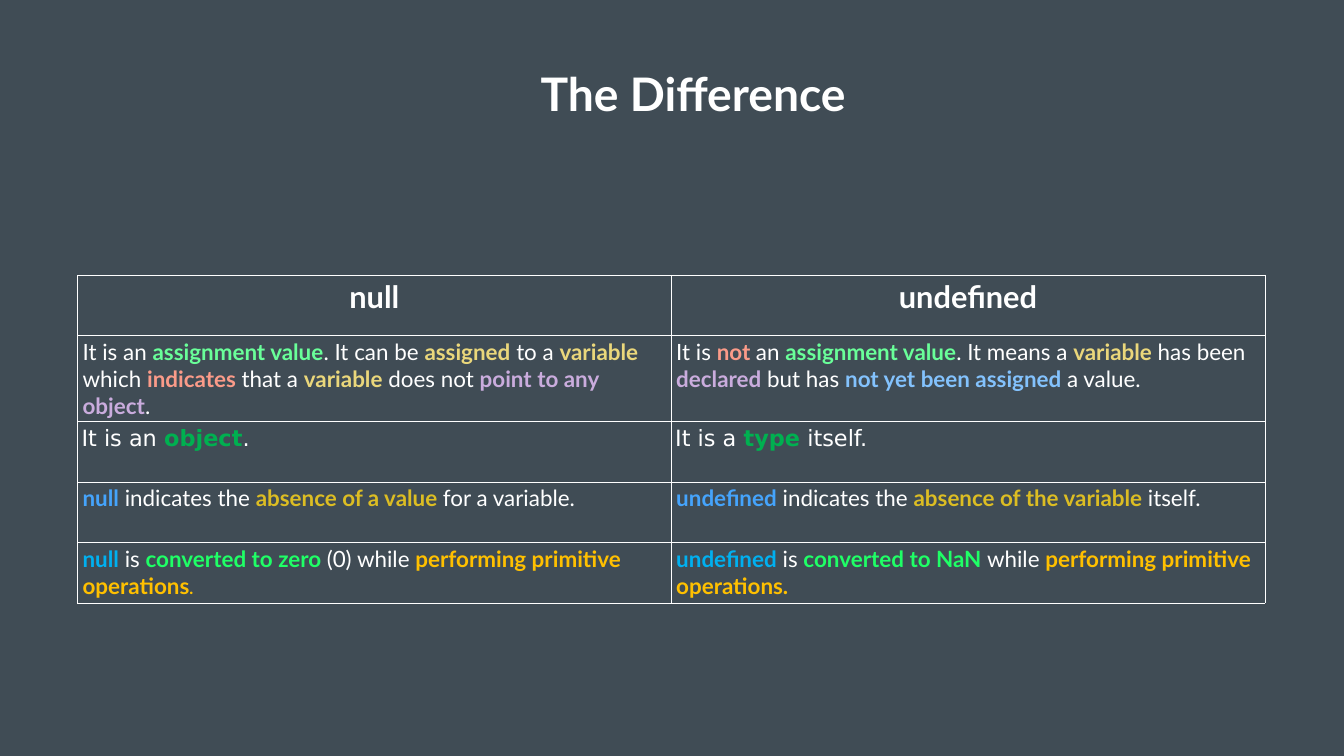
"""Build a slide that compares null and undefined in a two-column table."""

from dataclasses import dataclass

from lxml.etree import SubElement
from pptx import Presentation
from pptx.dml.color import RGBColor
from pptx.enum.text import MSO_ANCHOR as Anchor, MSO_AUTO_SIZE as AutoSize, PP_ALIGN as Align
from pptx.oxml.ns import qn
from pptx.table import _Cell as Cell
from pptx.text.text import _Paragraph as Paragraph
from pptx.util import Cm, Pt

COLORS = {
    "background": "404C55",
    "white": "FFFFFF",
    "mint": "69FF99",
    "sand": "EAD77B",
    "salmon": "FB9B89",
    "lilac": "CAACDD",
    "sky": "83C2FD",
    "green": "00B050",
    "blue": "45A4FC",
    "mustard": "DCBD23",
    "cyan": "00B0F0",
    "lime": "1FFF66",
    "amber": "FFC000",
}
FONT, TYPE_FONT = "Lato", "DejaVu Sans"
LEFT = Cm(3.91)
INSET = Cm(0.2)
COLUMN_WIDTH, ROW_HEIGHT = Cm(29.92), Cm(3.05)


@dataclass(frozen=True)
class Run:
    text: str
    color: str = "white"
    size: int = 32


@dataclass(frozen=True)
class Row:
    null: list[Run]
    undefined: list[Run]
    font: str = FONT
    inset: bool = False


ROWS = [
    Row(
        [Run("It is an "), Run("assignment value", "mint"), Run(". It can be "),
         Run("assigned", "sand"), Run(" to a "), Run("variable", "sand"), Run(" which "),
         Run("indicates", "salmon"), Run(" that a "), Run("variable", "sand"),
         Run(" does not "), Run("point to any object", "lilac"), Run(".")],
        [Run("It is "), Run("not ", "salmon"), Run("an "), Run("assignment value", "mint"),
         Run(". It means a "), Run("variable", "sand"), Run(" has been "),
         Run("declared", "lilac"), Run(" but has "),
         Run("not yet been assigned ", "sky"), Run("a value.")],
    ),
    Row(
        [Run("It is an "), Run("object", "green"), Run(".")],
        [Run("It is a "), Run("type", "green"), Run(" itself.")],
        font=TYPE_FONT,
        inset=True,
    ),
    Row(
        [Run("null", "blue"), Run(" indicates the "),
         Run("absence of a value ", "mustard"), Run("for a variable.")],
        [Run("undefined", "blue"), Run(" indicates the "),
         Run("absence of the variable ", "mustard"), Run("itself.")],
    ),
    Row(
        [Run("null", "cyan"), Run(" is "), Run("converted to zero ", "lime"),
         Run("(0) while "), Run("performing primitive operations", "amber"),
         Run(".", "amber", 24)],
        [Run("undefined", "cyan"), Run(" is "), Run("converted to NaN ", "lime"),
         Run("while "), Run("performing primitive operations.", "amber")],
    ),
]


def add_text(paragraph: Paragraph, text: str, *, size: int, color: str = "white",
             bold: bool = True, font: str = FONT) -> None:
    run = paragraph.add_run()
    run.text = text
    run.font.name = font
    run.font.size = Pt(size)
    run.font.bold = bold
    run.font.color.rgb = RGBColor.from_string(COLORS[color])


def outline_cell(cell: Cell) -> None:
    properties = cell._tc.get_or_add_tcPr()
    for side in ("lnL", "lnR", "lnT", "lnB"):
        line = SubElement(properties, qn(f"a:{side}"), w=str(Pt(1)))
        fill = SubElement(line, qn("a:solidFill"))
        SubElement(fill, qn("a:srgbClr"), val=COLORS["white"])
    cell.fill.background()


def add_title(slide, text: str) -> None:
    title = slide.shapes.title
    title.left, title.top, title.width, title.height = LEFT, Cm(3.05), Cm(62.05), Cm(3.23)
    frame = title.text_frame
    frame.margin_left = frame.margin_right = frame.margin_top = frame.margin_bottom = INSET
    frame.word_wrap = True
    frame.auto_size = AutoSize.SHAPE_TO_FIT_TEXT
    frame.vertical_anchor = Anchor.MIDDLE
    paragraph = frame.paragraphs[0]
    paragraph.alignment = Align.CENTER
    add_text(paragraph, text, size=66)


def add_comparison(slide, headings: tuple[str, str], rows: list[Row]) -> None:
    row_count = len(rows) + 1
    table = slide.shapes.add_table(row_count, 2, LEFT, Cm(13.87), 2 * COLUMN_WIDTH,
                                   row_count * ROW_HEIGHT).table
    table.first_row = table.horz_banding = False
    for cell in table.iter_cells():
        outline_cell(cell)
    for column, heading in enumerate(headings):
        paragraph = table.cell(0, column).text_frame.paragraphs[0]
        paragraph.alignment = Align.CENTER
        add_text(paragraph, heading, size=44)
    for index, row in enumerate(rows, start=1):
        for column, runs in enumerate((row.null, row.undefined)):
            cell = table.cell(index, column)
            if row.inset:
                cell.margin_left = cell.margin_right = INSET
                cell.margin_top = cell.margin_bottom = INSET
            for run in runs:
                add_text(cell.text_frame.paragraphs[0], run.text, size=run.size,
                         color=run.color, bold=run.color != "white", font=row.font)


def main() -> None:
    presentation = Presentation()
    presentation.slide_width, presentation.slide_height = Cm(67.74), Cm(38.1)
    slide = presentation.slides.add_slide(presentation.slide_layouts.get_by_name("Title Only"))
    background = slide.background.fill
    background.solid()
    background.fore_color.rgb = RGBColor.from_string(COLORS["background"])
    add_title(slide, "The Difference")
    add_comparison(slide, ("null", "undefined"), ROWS)
    presentation.save("out.pptx")


if __name__ == "__main__":
    main()
